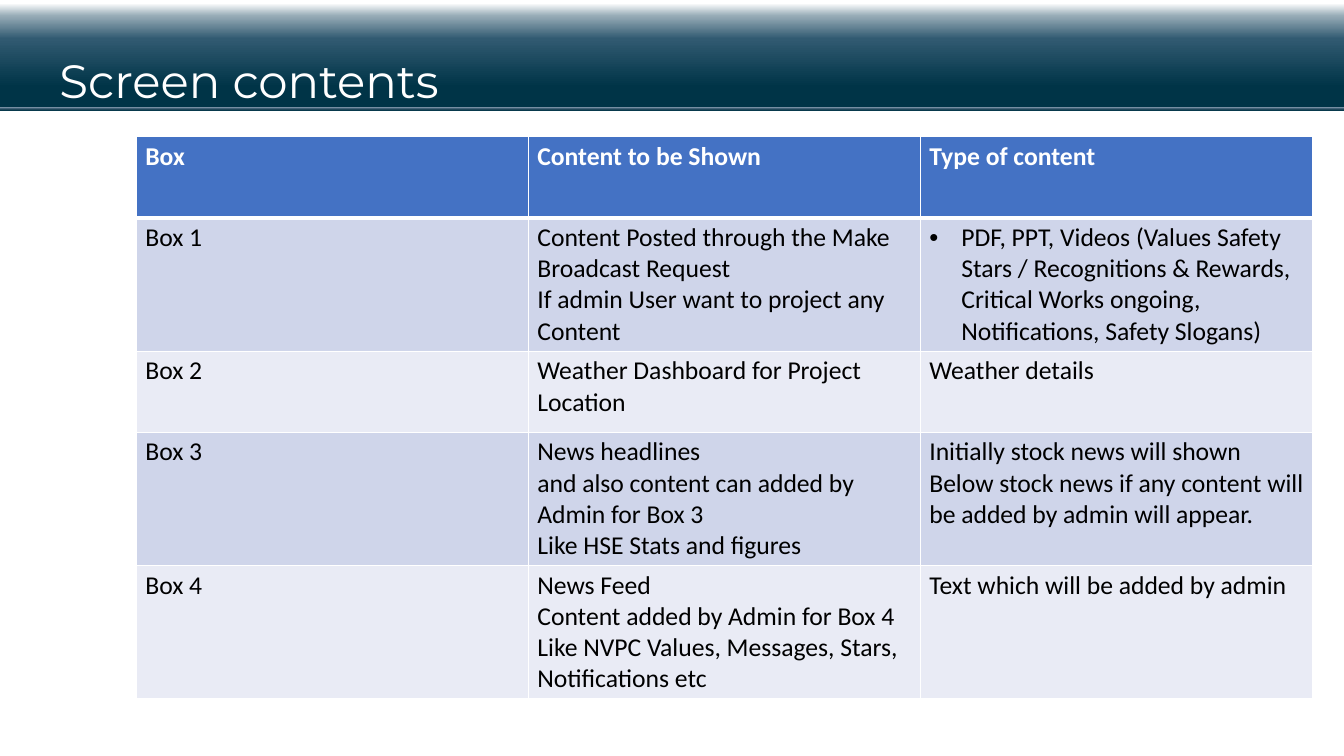
from dataclasses import dataclass

from lxml import etree
from pptx import Presentation
from pptx import util as u
from pptx.dml.color import RGBColor
from pptx.enum import shapes, text
from pptx.oxml.ns import qn

PX = 914400 // 84
COLOURS = {
    "white": "FFFFFF",
    "black": "000000",
    "header": "4472C4",
    "odd": "CFD5EA",
    "even": "E9EBF5",
}
BULLET = "• "
ROW_HEIGHT = 81
COLUMN_WIDTH = 392


@dataclass(frozen=True)
class Band:
    top: int
    height: int
    stops: tuple[tuple[int, str], ...]


BANDS = (
    Band(0, 111, ((3, "FFFFFF"), (14, "99ADB8"), (35, "315A71"), (78, "003447"))),
    Band(107, 4, ((0, "96A9B9"), (23, "5A7890"), (53, "284D60"), (100, "003447"))),
)

ROWS = (
    (("Box",), ("Content to be Shown",), ("Type of content",)),
    (
        ("Box 1",),
        ("Content Posted through the Make Broadcast Request",
         "If admin User want to project any Content"),
        (BULLET + "PDF, PPT, Videos (Values Safety Stars / Recognitions & Rewards, "
         "Critical Works ongoing, Notifications, Safety Slogans)",),
    ),
    (("Box 2",), ("Weather Dashboard for Project Location",), ("Weather details",)),
    (
        ("Box 3",),
        ("News headlines\nand also content can added by Admin for Box 3",
         "Like HSE Stats and figures"),
        ("Initially stock news will shown",
         "Below stock news if any content will be added by admin will appear."),
    ),
    (
        ("Box 4",),
        ("News Feed\nContent added by Admin for Box 4",
         "Like NVPC Values, Messages, Stars, Notifications etc"),
        ("Text which will be added by admin",),
    ),
)


def px(length: int) -> int:
    return u.Emu(length * PX)


def add_run(para, words: str, font: str, size: int, colour: str, bold: bool = False) -> None:
    span = para.add_run()
    span.text = words
    span.font.name = font
    span.font.size = u.Pt(size)
    span.font.bold = bold
    span.font.color.rgb = RGBColor.from_string(COLOURS[colour])


def draw_band(page, band: Band) -> None:
    box = page.shapes.add_shape(
        shapes.MSO_SHAPE.RECTANGLE, 0, px(band.top), px(1344), px(band.height))
    box.shadow.inherit = False
    box.line.fill.background()
    box.fill.gradient()
    box.fill.gradient_angle = 270
    stop_list = box._element.spPr.find(".//" + qn("a:gsLst"))
    for stop in list(stop_list):
        stop_list.remove(stop)
    for position, colour in band.stops:
        stop = etree.SubElement(stop_list, qn("a:gs"), pos=str(position * 1000))
        etree.SubElement(stop, qn("a:srgbClr"), val=colour)


def write_title(page) -> None:
    title = page.shapes.title
    title.left, title.top, title.width, title.height = px(51), px(58), px(1229), px(55)
    page.shapes._spTree.append(title._element)
    frame = title.text_frame
    frame.word_wrap = True
    frame.auto_size = text.MSO_AUTO_SIZE.NONE
    frame.vertical_anchor = text.MSO_ANCHOR.MIDDLE
    para = frame.paragraphs[0]
    para.alignment = text.PP_ALIGN.LEFT
    para.line_spacing = 0.8
    para.space_before = u.Pt(0)
    add_run(para, "Screen contents", "Montserrat", 40, "white")


def add_bullet(para) -> None:
    properties = para._p.get_or_add_pPr()
    properties.set("marL", str(px(32)))
    properties.set("indent", str(-px(32)))
    etree.SubElement(properties, qn("a:buFont"), typeface="Arial")
    etree.SubElement(properties, qn("a:buChar"), char=BULLET.strip())


def set_borders(cell, row_number: int) -> None:
    widths = {
        "lnL": 1,
        "lnR": 1,
        "lnT": 3 if row_number == 1 else 1,
        "lnB": 3 if row_number == 0 else 1,
    }
    properties = cell._tc.get_or_add_tcPr()
    for side, width in widths.items():
        line = etree.SubElement(properties, qn("a:" + side), w=str(u.Pt(width)))
        fill = etree.SubElement(line, qn("a:solidFill"))
        etree.SubElement(fill, qn("a:srgbClr"), val=COLOURS["white"])


def fill_cell(cell, row_number: int, paragraphs: tuple[str, ...]) -> None:
    is_header = row_number == 0
    set_borders(cell, row_number)
    fill = "header" if is_header else "odd" if row_number % 2 else "even"
    cell.fill.solid()
    cell.fill.fore_color.rgb = RGBColor.from_string(COLOURS[fill])
    frame = cell.text_frame
    for number, words in enumerate(paragraphs):
        para = frame.add_paragraph() if number else frame.paragraphs[0]
        if words.startswith(BULLET):
            add_bullet(para)
        for line_number, line in enumerate(words.removeprefix(BULLET).split("\n")):
            if line_number:
                para.add_line_break()
            add_run(para, line, "Calibri", 22, "white" if is_header else "black", is_header)


def draw_table(page) -> None:
    columns = len(ROWS[0])
    frame = page.shapes.add_table(
        len(ROWS), columns, px(137), px(137),
        px(COLUMN_WIDTH * columns), px(ROW_HEIGHT * len(ROWS)))
    for row_number, row in enumerate(ROWS):
        for column_number, paragraphs in enumerate(row):
            fill_cell(frame.table.cell(row_number, column_number), row_number, paragraphs)
    frame.height = px(466)


def main() -> None:
    deck = Presentation()
    deck.slide_width, deck.slide_height = px(1344), px(756)
    page = deck.slides.add_slide(deck.slide_layouts[5])
    for band in BANDS:
        draw_band(page, band)
    write_title(page)
    draw_table(page)
    deck.save("out.pptx")


if __name__ == "__main__":
    main()
